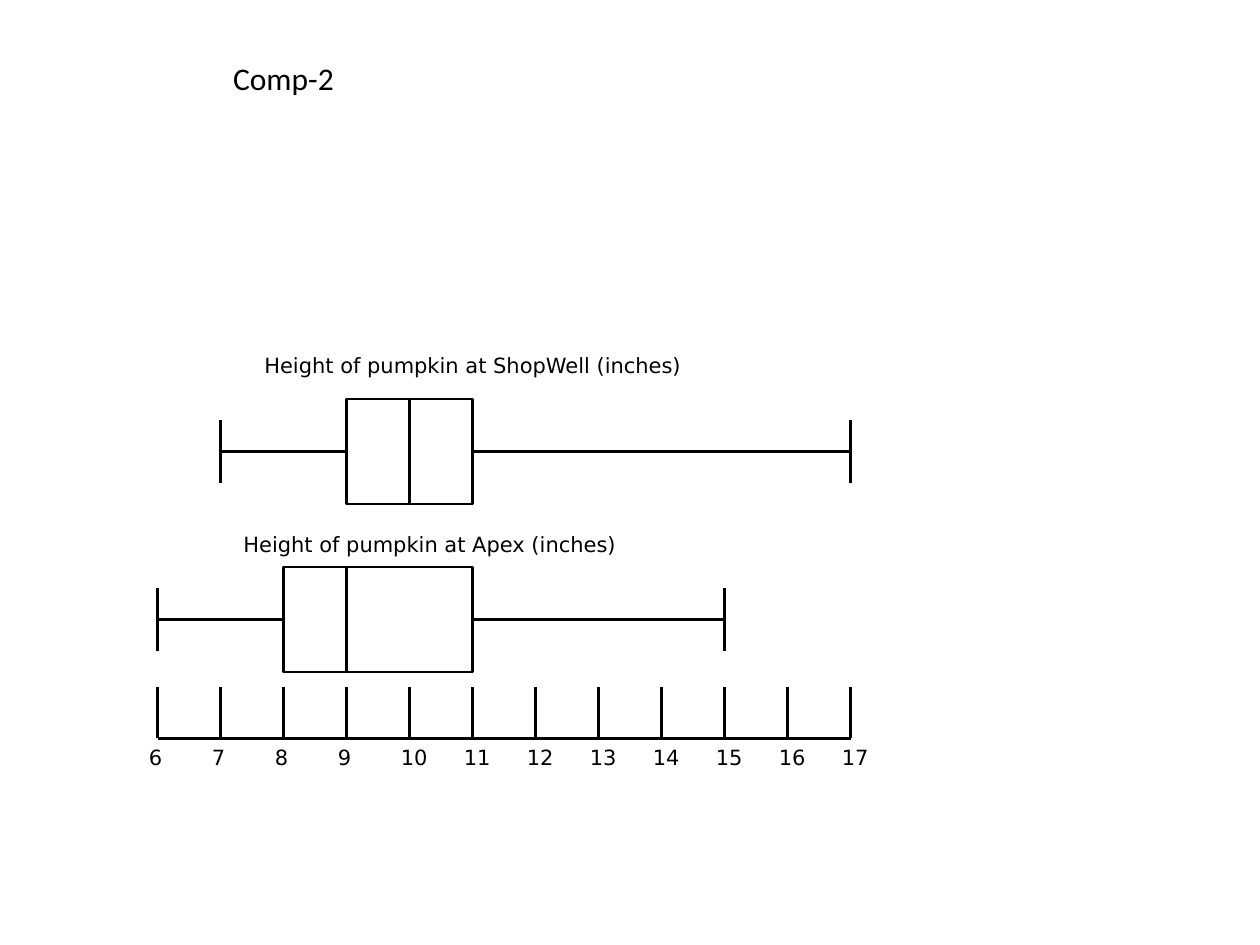
import pptx
import pptx.dml.color
import pptx.enum.shapes
import pptx.enum.text
import pptx.util
from lxml import etree
from pptx.oxml.ns import qn

Pt = pptx.util.Pt
BLACK = pptx.dml.color.RGBColor.from_string("000000")
WHITE = pptx.dml.color.RGBColor.from_string("FFFFFF")

FIRST, LAST = 6, 17
UNIT = 36
positions = {value: 90 + (value - FIRST) * UNIT for value in range(FIRST, LAST + 1)}
AXIS_Y, TICK_TOP = 422, 392.5
BOX_HEIGHT, CAP_HEIGHT = 60, 36

presentation = pptx.Presentation()
presentation.slide_width = Pt(720)
presentation.slide_height = Pt(540)
slide = presentation.slides.add_slide(presentation.slide_layouts[5])


def add_line(x1, y1, x2, y2):
    line = slide.shapes.add_connector(
        pptx.enum.shapes.MSO_CONNECTOR.STRAIGHT, Pt(x1), Pt(y1), Pt(x2), Pt(y2))
    line.line.color.rgb = BLACK
    line.line.width = Pt(1.5)
    etree.SubElement(line._element.spPr, qn("a:effectLst"))
    return line


def write_text(shape, text, left, top, width, height, size=12, font="DejaVu Sans"):
    """Place a text shape and format its single line of text."""
    shape.left, shape.top, shape.width, shape.height = Pt(left), Pt(top), Pt(width), Pt(height)
    frame = shape.text_frame
    frame.text = text
    frame.word_wrap = True
    frame.auto_size = pptx.enum.text.MSO_AUTO_SIZE.SHAPE_TO_FIT_TEXT
    frame.vertical_anchor = pptx.enum.text.MSO_ANCHOR.TOP
    paragraph = frame.paragraphs[0]
    paragraph.alignment = pptx.enum.text.PP_ALIGN.LEFT
    run = paragraph.runs[0]
    run.font.size = Pt(size)
    run.font.name = font
    run.font.color.rgb = BLACK


write_text(slide.shapes.title, "Comp-2", 126, 30, 108, 29, size=18, font="Calibri")

# Box plots: minimum, lower quartile, median, upper quartile, maximum, box top
box_plots = [
    (7, 9, 10, 11, 17, 228),
    (6, 8, 9, 11, 15, 324),
]
for *summary, top in box_plots:
    minimum, lower, median, upper, maximum = [positions[value] for value in summary]
    middle = top + BOX_HEIGHT / 2
    for end in (minimum, maximum):
        add_line(end, middle - CAP_HEIGHT / 2, end, middle + CAP_HEIGHT / 2)
    add_line(minimum, middle, maximum, middle)
    box = slide.shapes.add_shape(
        pptx.enum.shapes.MSO_SHAPE.RECTANGLE,
        Pt(lower), Pt(top), Pt(upper - lower), Pt(BOX_HEIGHT))
    box.shadow.inherit = False
    box.fill.solid()
    box.fill.fore_color.rgb = WHITE
    box.line.color.rgb = BLACK
    box.line.width = Pt(1.5)
    median_line = add_line(median, top, median, top + BOX_HEIGHT)
    if median * 2 == lower + upper:
        median_line.begin_connect(box, 0)
        median_line.end_connect(box, 2)

# Captions, then the number line
captions = [
    ("Height of pumpkin at ShopWell (inches)", 144, 198, 258),
    ("Height of pumpkin at Apex (inches)", 132, 300, 234),
]
for text, left, top, width in captions:
    write_text(slide.shapes.add_textbox(0, 0, 0, 0), text, left, top, width, 21.6)

add_line(positions[FIRST], AXIS_Y, positions[LAST], AXIS_Y)
for value, x in positions.items():
    add_line(x, AXIS_Y, x, TICK_TOP)
    label_width = 24 if value < 10 else 30
    write_text(slide.shapes.add_textbox(0, 0, 0, 0), str(value),
               x - 12, AXIS_Y, label_width, 21.6)

presentation.save("out.pptx")
